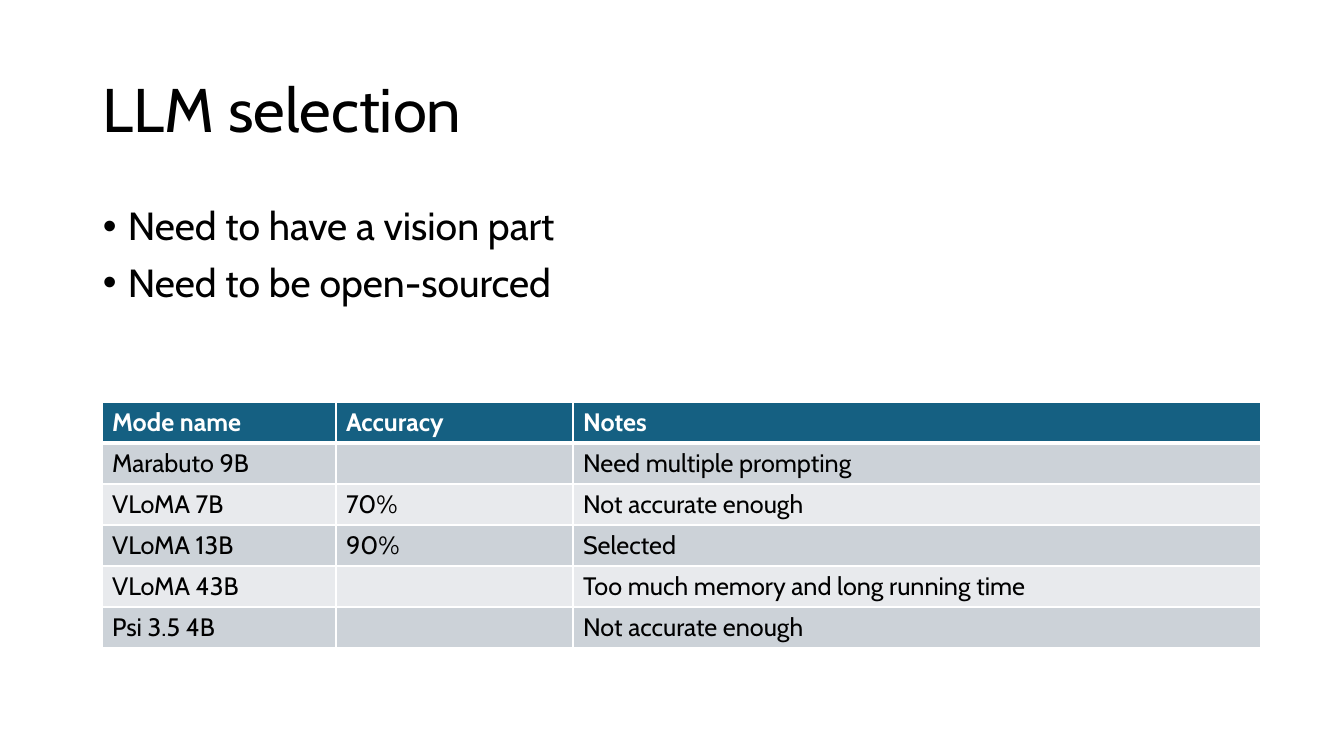
from lxml.etree import SubElement
from pptx import Presentation
from pptx.dml.color import RGBColor
from pptx.enum.text import MSO_ANCHOR
from pptx.oxml.ns import qn
from pptx.util import Emu, Pt

SCALE = 914400 / 100.8
FONT = "Cabin"
BLACK = RGBColor(0x00, 0x00, 0x00)
WHITE = RGBColor(0xFF, 0xFF, 0xFF)
HEADER = RGBColor(0x15, 0x60, 0x82)
BANDS = (RGBColor(0xCC, 0xD2, 0xD8), RGBColor(0xE8, 0xEA, 0xED))

REQUIREMENTS = ["Need to have a vision part", "Need to be open-sourced"]
MODELS = [
    ("Mode name", "Accuracy", "Notes"),
    ("Marabuto 9B", "", "Need multiple prompting"),
    ("VLoMA 7B", "70%", "Not accurate enough"),
    ("VLoMA 13B", "90%", "Selected"),
    ("VLoMA 43B", "", "Too much memory and long running time"),
    ("Psi 3.5 4B", "", "Not accurate enough"),
]


def px(length):
    """Turn a length in px into EMU."""
    return Emu(round(length * SCALE))


def write(para, text, size=18, color=BLACK, bold=False, line_spacing=None, space_before=None):
    """Write one formatted run into a paragraph."""
    para.line_spacing = line_spacing
    para.space_before = space_before
    span = para.add_run()
    span.text = text
    span.font.name = FONT
    span.font.size = Pt(size)
    span.font.bold = bold
    span.font.color.rgb = color


def add_bullet(para, indent):
    """Give a paragraph a hanging bullet."""
    properties = para._p.get_or_add_pPr()
    properties.set("marL", str(px(indent)))
    properties.set("indent", str(-px(indent)))
    SubElement(properties, qn("a:buFont"), typeface="Arial")
    SubElement(properties, qn("a:buChar"), char="•")


def add_border(cell, side, points):
    """Draw a white line on one side of a cell."""
    line = SubElement(cell._tc.get_or_add_tcPr(), qn(f"a:ln{side}"), w=str(Pt(points)))
    fill = SubElement(line, qn("a:solidFill"))
    SubElement(fill, qn("a:srgbClr"), val=str(WHITE))


def add_frame(page, left, top, width, height, anchor):
    """Add a wrapping text box and return its text frame."""
    box = page.shapes.add_textbox(px(left), px(top), px(width), px(height))
    frame = box.text_frame
    frame.word_wrap = True
    frame.vertical_anchor = anchor
    return frame


def add_title(page, text, left, top, width, height):
    """Add the slide title."""
    frame = add_frame(page, left, top, width, height, MSO_ANCHOR.MIDDLE)
    write(frame.paragraphs[0], text, size=44, line_spacing=0.9)


def add_requirements(page, items, left, top, width, height):
    """Add the bulleted list."""
    frame = add_frame(page, left, top, width, height, MSO_ANCHOR.TOP)
    for index, item in enumerate(items):
        para = frame.add_paragraph() if index else frame.paragraphs[0]
        write(para, item, size=28, line_spacing=0.9, space_before=Pt(10))
        add_bullet(para, 25)


def add_model_table(page, rows, left, top, widths, row_height):
    """Add the banded table of models."""
    shape = page.shapes.add_table(len(rows), len(widths), px(left), px(top),
                                  px(sum(widths)), px(row_height * len(rows)))
    table = shape.table
    for column, width in zip(table.columns, widths):
        column.width = px(width)
    for row_index, texts in enumerate(rows):
        is_header = row_index == 0
        table.rows[row_index].height = px(row_height)
        for column_index, text in enumerate(texts):
            cell = table.cell(row_index, column_index)
            for side in "LRTB":
                thick = (side, row_index) in (("B", 0), ("T", 1))
                add_border(cell, side, 3 if thick else 1)
            cell.fill.solid()
            cell.fill.fore_color.rgb = HEADER if is_header else BANDS[(row_index - 1) % 2]
            if text:
                write(cell.text_frame.paragraphs[0], text,
                      color=WHITE if is_header else BLACK, bold=is_header)


def main():
    """Build and save the deck."""
    deck = Presentation()
    deck.slide_width, deck.slide_height = px(1344), px(756)
    page = deck.slides.add_slide(deck.slide_layouts[6])
    add_title(page, "LLM selection", 93, 40, 1159, 146)
    add_model_table(page, MODELS, 102, 402, (234, 237, 688), 41)
    add_requirements(page, REQUIREMENTS, 93, 202, 1159, 480)
    deck.save("out.pptx")


if __name__ == "__main__":
    main()
